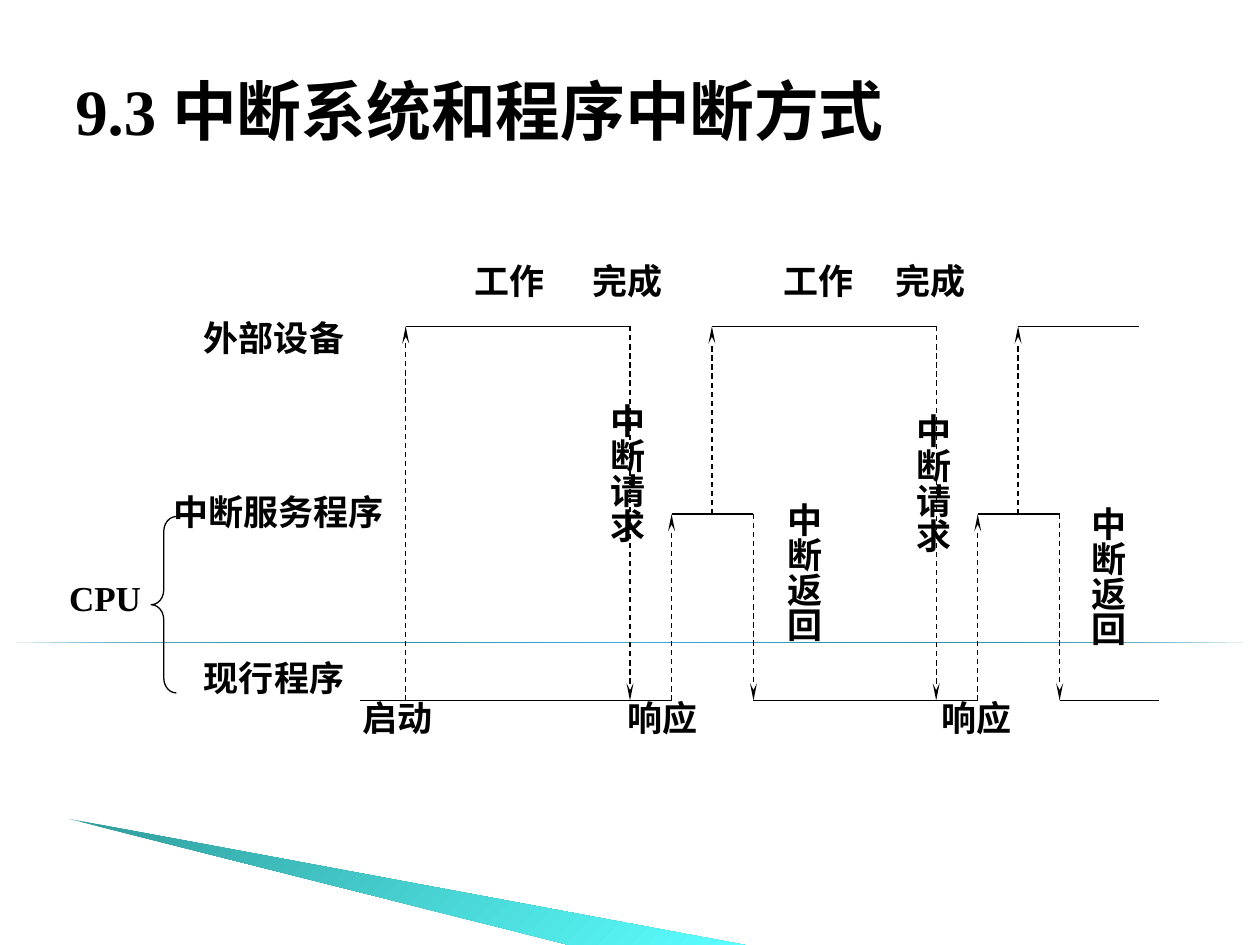
import pptx
import pptx.util
import pptx.dml.color
import pptx.enum.dml
import pptx.enum.shapes
import pptx.enum.text
import pptx.oxml.ns
import lxml.etree

Inches = pptx.util.Inches
Pt = pptx.util.Pt
qn = pptx.oxml.ns.qn
Shape = pptx.enum.shapes.MSO_SHAPE
Align = pptx.enum.text.PP_ALIGN

HEX = {"ink": "000000", "deep": "007897", "sky": "4ABBE0",
       "teal": "319C9C", "aqua": "5BFFFF"}
LATIN = "Times New Roman"
HAN = "Noto Sans CJK SC"
PERIOD = 2.43


def color(name):
    return pptx.dml.color.RGBColor.from_string(HEX[name])


def blend(shape, stops, angle):
    shape.shadow.inherit = False
    shape.line.fill.background()
    shape.fill.gradient()
    shape.fill.gradient_angle = 360 - angle
    items = shape._element.spPr.find(".//" + qn("a:gsLst"))
    for old in list(items):
        items.remove(old)
    for place, name in stops:
        stop = lxml.etree.SubElement(items, qn("a:gs"), pos=str(place * 1000))
        lxml.etree.SubElement(stop, qn("a:srgbClr"), val=HEX[name])


def write(para, text, size, face=LATIN):
    run = para.add_run()
    run.text = text
    run.font.size = Pt(size)
    run.font.bold = True
    run.font.name = face
    run.font.color.rgb = color("ink")
    east = lxml.etree.Element(qn("a:ea"), typeface=HAN)
    run._r.get_or_add_rPr().find(qn("a:latin")).addnext(east)


def label(shapes, text, left, top, width, height=0.44, upright=False):
    box = shapes.add_textbox(Inches(left), Inches(top), Inches(width), Inches(height))
    frame = box.text_frame
    frame.word_wrap = True
    frame.auto_size = pptx.enum.text.MSO_AUTO_SIZE.NONE
    para = frame.paragraphs[0]
    if upright:
        frame.margin_left = frame.margin_right = Inches(0.05)
        frame.margin_top = frame.margin_bottom = Inches(0.1)
        frame._txBody.bodyPr.set("vert", "eaVert")
        para.alignment = Align.CENTER
    write(para, text, 20)


def line(shapes, start, end, arrow=False):
    link = shapes.add_connector(
        pptx.enum.shapes.MSO_CONNECTOR.STRAIGHT,
        *[Inches(value) for value in (*start, *end)])
    link.line.color.rgb = color("ink")
    link.line.width = Pt(0.75)
    if arrow:
        link.line.dash_style = pptx.enum.dml.MSO_LINE.DASH
        lxml.etree.SubElement(link.line._get_or_add_ln(), qn("a:tailEnd"),
                              type="stealth", w="sm", len="lg")
    lxml.etree.SubElement(link._element.spPr, qn("a:effectLst"))


def backdrop(shapes, left, top, width, height):
    rule = shapes.add_shape(Shape.RIGHT_TRIANGLE, Inches(left), Inches(top + 5.1),
                            Inches(width), Inches(0))
    blend(rule, [(0, "deep"), (50, "sky"), (100, "deep")], 50)
    base = top + height
    build = shapes.build_freeform(Inches(left + 0.55), Inches(base - 1), scale=1.0)
    build.add_line_segments([(Inches(left + 5.91), Inches(base)),
                             (Inches(left + 4.52), Inches(base))], close=True)
    blend(build.convert_to_shape(), [(0, "teal"), (100, "aqua")], 45)


def heading(shapes, left, top, width, height):
    box = shapes.add_textbox(Inches(left), Inches(top), Inches(width), Inches(height))
    frame = box.text_frame
    frame.word_wrap = True
    frame.auto_size = pptx.enum.text.MSO_AUTO_SIZE.NONE
    frame.vertical_anchor = pptx.enum.text.MSO_ANCHOR.MIDDLE
    para = frame.paragraphs[0]
    para.alignment = Align.JUSTIFY
    para.line_spacing = 0.8
    write(para, "9.3 ", 37)
    write(para, "中断系统和程序中断方式", 37, HAN)


def timing(shapes, left, top, width, height):
    device, service, program = top + 0.58, top + 2.07, top + 3.55
    first = left + 2.77
    right = left + width
    line(shapes, (left + 2.41, program), (first + 2.11, program))
    line(shapes, (first, program), (first, device), True)
    for turn in range(2):
        begin = first + turn * PERIOD
        ask, reply, again, back = [begin + step for step in (1.78, 2.11, PERIOD, 2.76)]
        last = turn == 1
        line(shapes, (begin, device), (ask, device))
        line(shapes, (ask, device), (ask, program), True)
        line(shapes, (reply, program), (reply, service), True)
        line(shapes, (reply, service), (back, service))
        line(shapes, (again, service), (again, device), True)
        line(shapes, (back, service), (back, program), True)
        line(shapes, (back, program), (right if last else reply + PERIOD, program))
    line(shapes, (first + 2 * PERIOD, device), (right - 0.16, device))

    for text, across, down, wide in [
            ("启动", 2.33, 3.47, 1.11), ("工作", 3.22, 0, 1.11),
            ("工作", 5.67, 0, 1.11), ("完成", 4.15, 0, 1.11),
            ("完成", 6.56, 0, 1.11), ("响应", 4.43, 3.47, 1.11),
            ("响应", 6.92, 3.47, 1.11), ("外部设备", 1.07, 0.45, 1.84),
            ("中断服务程序", 0.83, 1.83, 2.19), ("现行程序", 1.07, 3.15, 2.19),
            ("CPU", 0, 2.52, 1.13)]:
        label(shapes, text, left + across, top + down, wide)
    for text, across, down in [
            ("中断请求", 4.21, 1.09), ("中断请求", 6.64, 1.17),
            ("中断返回", 5.62, 1.88), ("中断返回", 8.03, 1.91)]:
        label(shapes, text, left + across, top + down, 0.53, 2.62, True)

    brace = shapes.add_shape(Shape.LEFT_BRACE, Inches(left + 0.75), Inches(top + 2.09),
                             Inches(0.2), Inches(1.4))
    brace.adjustments[0] = 0.59
    brace.shadow.inherit = False
    brace.fill.background()
    brace.line.color.rgb = color("ink")
    brace.line.width = Pt(0.75)


def main():
    deck = pptx.Presentation()
    deck.slide_width, deck.slide_height = Inches(10), Inches(7.5)
    slide = deck.slides.add_slide(deck.slide_layouts[6])
    backdrop(slide.shapes, 0, 0, 10, 7.5)
    heading(slide.shapes, 0.5, 0.3, 9, 1.25)
    group = slide.shapes.add_group_shape()
    timing(group.shapes, 0.45, 2.01, 8.75, 3.91)
    deck.save("out.pptx")


if __name__ == "__main__":
    main()
